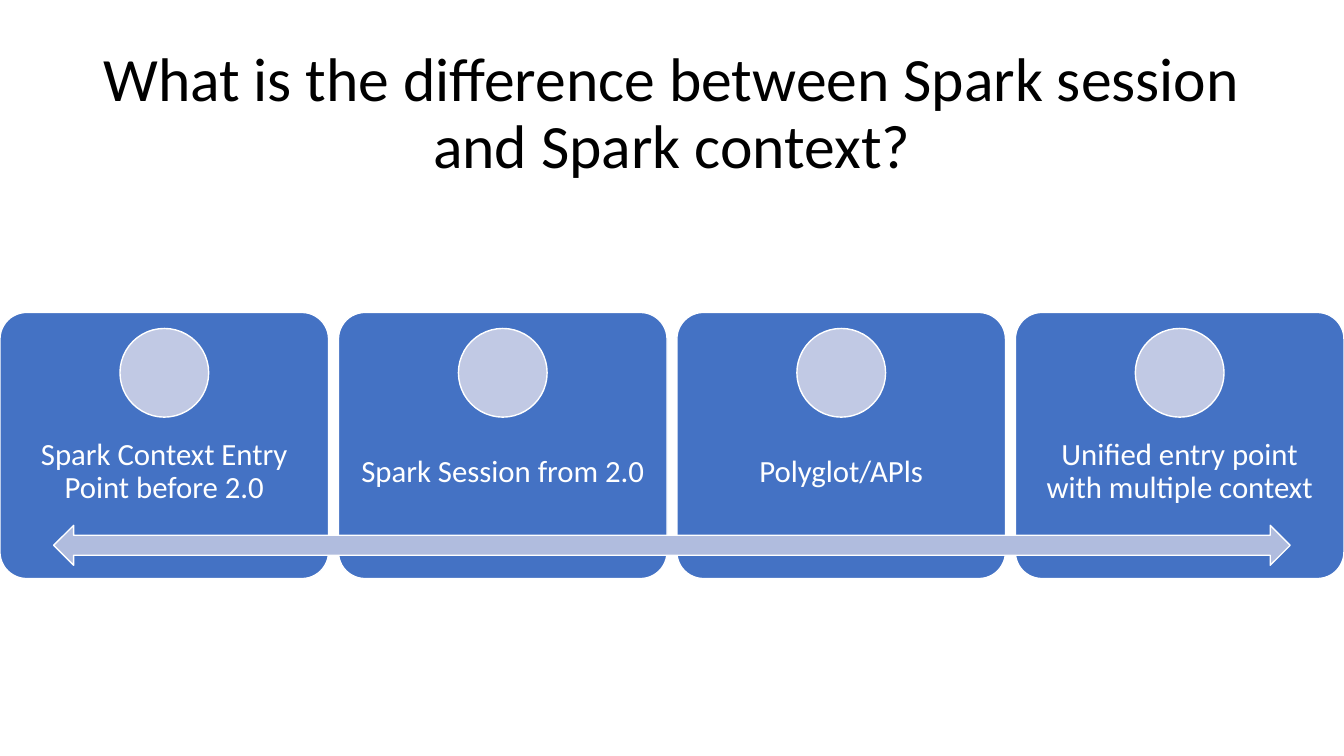
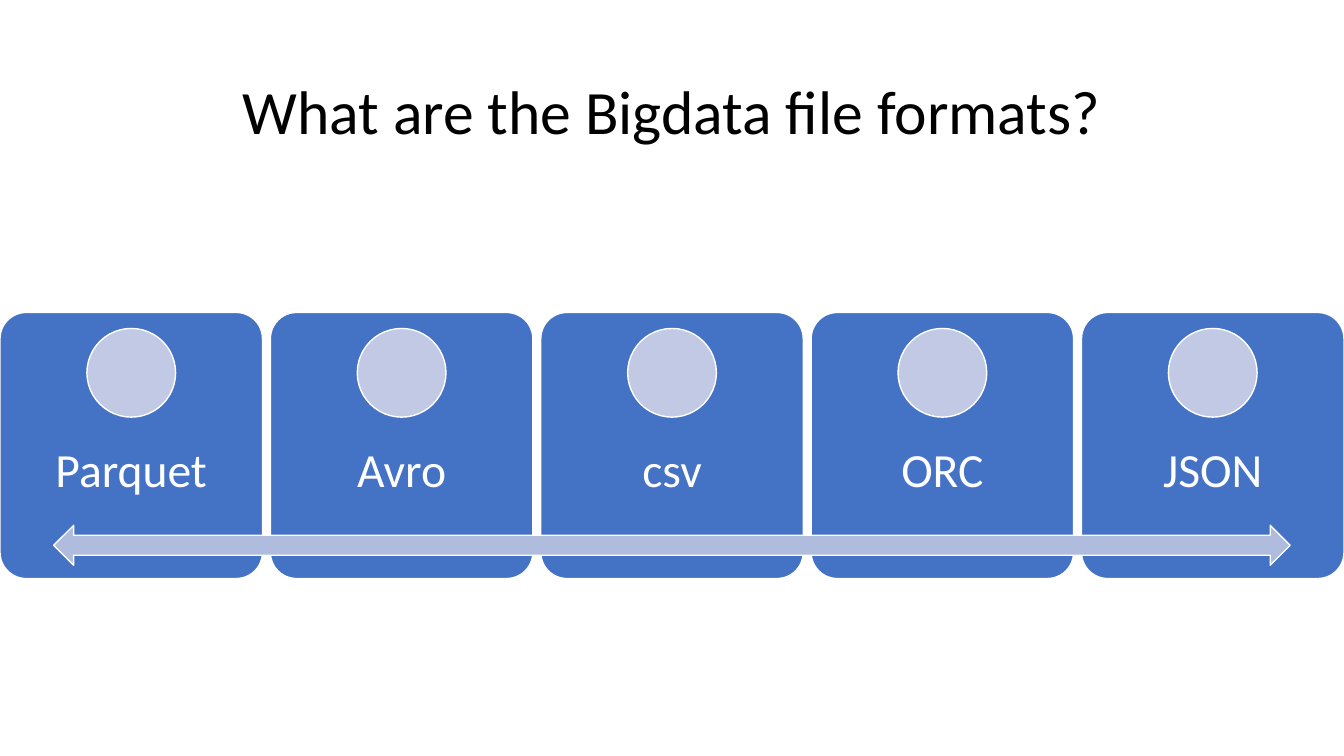
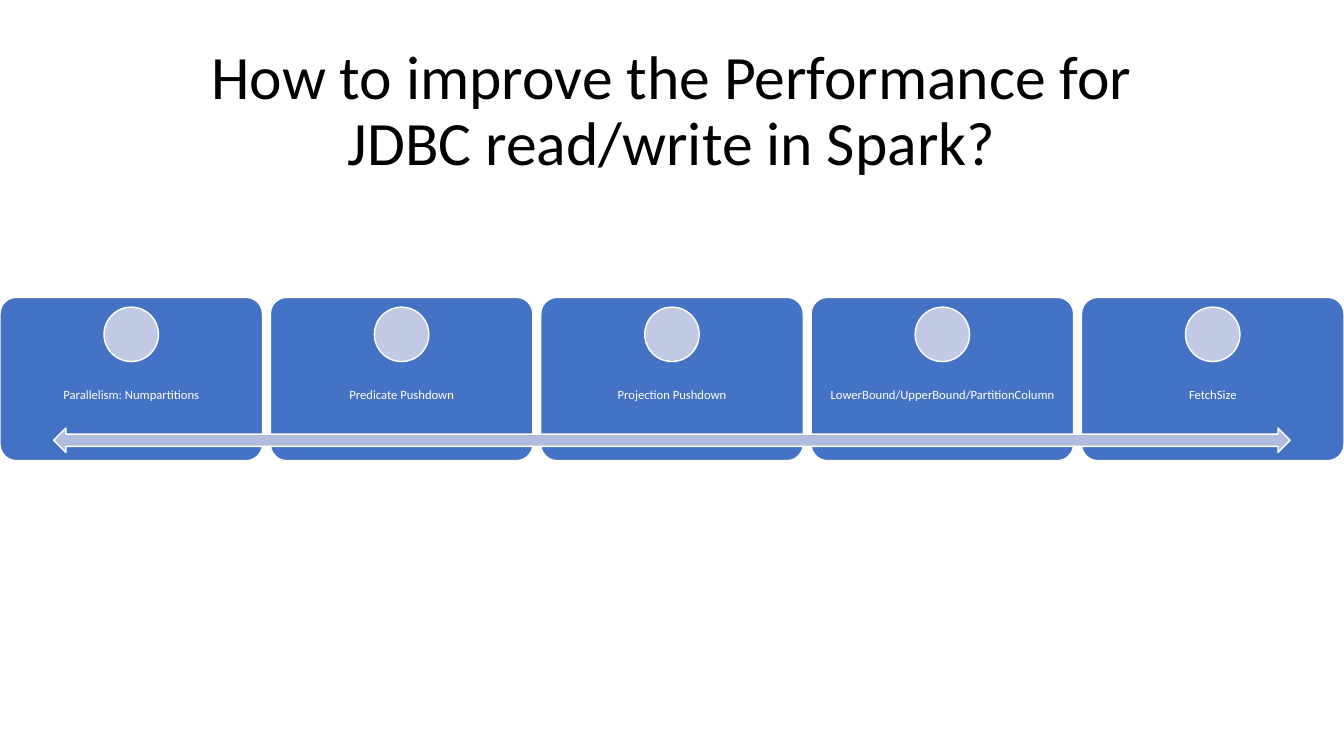
import pptx
import pptx.util
from pptx.dml.color import RGBColor
from pptx.enum.shapes import MSO_SHAPE
from pptx.enum.text import MSO_ANCHOR, MSO_AUTO_SIZE, PP_ALIGN

# Content: title, title height, panel top, panel height, label size, labels
SLIDES = [
    ("What is the difference between Spark session\vand Spark context?",
     2.28, 3.1, 2.64, 22,
     ["Spark Context Entry Point before 2.0", "Spark Session from 2.0",
      "Polyglot/APls", "Unified entry point with multiple context"]),
    ("What are the Bigdata file formats?",
     2.28, 3.1, 2.64, 34,
     ["Parquet", "Avro", "csv", "ORC", "JSON"]),
    ("How to improve the Performance for\vJDBC read/write in Spark?",
     2.23, 2.95, 1.62, 9,
     ["Parallelism: Numpartitions", "Predicate Pushdown", "Projection Pushdown",
      "LowerBound/UpperBound/PartitionColumn", "FetchSize"]),
]

WIDTH, HEIGHT = 13.33, 7.5
FONT = "Calibri"
BLACK = RGBColor(0x00, 0x00, 0x00)
WHITE = RGBColor(0xFF, 0xFF, 0xFF)
CARD = RGBColor(0x44, 0x72, 0xC4)
DISC = RGBColor(0xC1, 0xC9, 0xE4)
ARROW = RGBColor(0xB0, 0xBC, 0xDE)

GAP = 0.03          # share of a card's width
ARROW_INSET = 0.04  # share of the slide's width
LABEL_INSET = 0.56  # share of the label's text size


def inches(*lengths):
    return [pptx.util.Inches(length) for length in lengths]


def write(tf, text, size, color):
    tf.text = text
    frame = {"word_wrap": True, "auto_size": MSO_AUTO_SIZE.NONE,
             "vertical_anchor": MSO_ANCHOR.MIDDLE}
    for name, value in frame.items():
        setattr(tf, name, value)
    p = tf.paragraphs[0]
    p.alignment, p.line_spacing = PP_ALIGN.CENTER, 0.9
    for r in p.runs:
        r.font.name, r.font.size = FONT, pptx.util.Pt(size)
        r.font.color.rgb = color


def add_title(s, text, height):
    title = s.shapes.title
    title.left, title.top, title.width, title.height = inches(0, 0, WIDTH, height)
    write(title.text_frame, text, 44, BLACK)


def add_figure(shapes, kind, box, fill):
    sp = shapes.add_shape(kind, *inches(*box))
    sp.shadow.inherit = False
    sp.fill.solid()
    sp.fill.fore_color.rgb = fill
    sp.line.color.rgb = WHITE
    sp.line.width = pptx.util.Pt(1)
    return sp


def add_label(shapes, box, text, size):
    tf = shapes.add_textbox(*inches(*box)).text_frame
    for side in ("left", "top", "right", "bottom"):
        setattr(tf, "margin_" + side, pptx.util.Pt(size * LABEL_INSET))
    write(tf, text, size, WHITE)


def add_panel(s, top, height, size, labels):
    """Row of equal cards across the slide with a double arrow over them."""
    shapes = s.shapes.add_group_shape().shapes
    n = len(labels)
    card_w = WIDTH / (n + GAP * (n - 1))
    disc = height / 3
    for i, label in enumerate(labels):
        left = i * card_w * (1 + GAP)
        card = add_figure(shapes, MSO_SHAPE.ROUNDED_RECTANGLE,
                          (left, top, card_w, height), CARD)
        card.adjustments[0] = 0.1
        add_label(shapes, (left, top + 0.4 * height, card_w, 0.4 * height),
                  label, size)
        add_figure(shapes, MSO_SHAPE.OVAL,
                   (left + (card_w - disc) / 2, top + 0.06 * height, disc, disc),
                   DISC)
    add_figure(shapes, MSO_SHAPE.LEFT_RIGHT_ARROW,
               (ARROW_INSET * WIDTH, top + 0.8 * height,
                (1 - 2 * ARROW_INSET) * WIDTH, 0.15 * height), ARROW)


def main():
    prs = pptx.Presentation()
    prs.slide_width, prs.slide_height = inches(WIDTH, HEIGHT)
    for title, title_h, top, height, size, labels in SLIDES:
        s = prs.slides.add_slide(prs.slide_layouts[5])
        add_title(s, title, title_h)
        add_panel(s, top, height, size, labels)
    prs.save("out.pptx")


if __name__ == "__main__":
    main()
